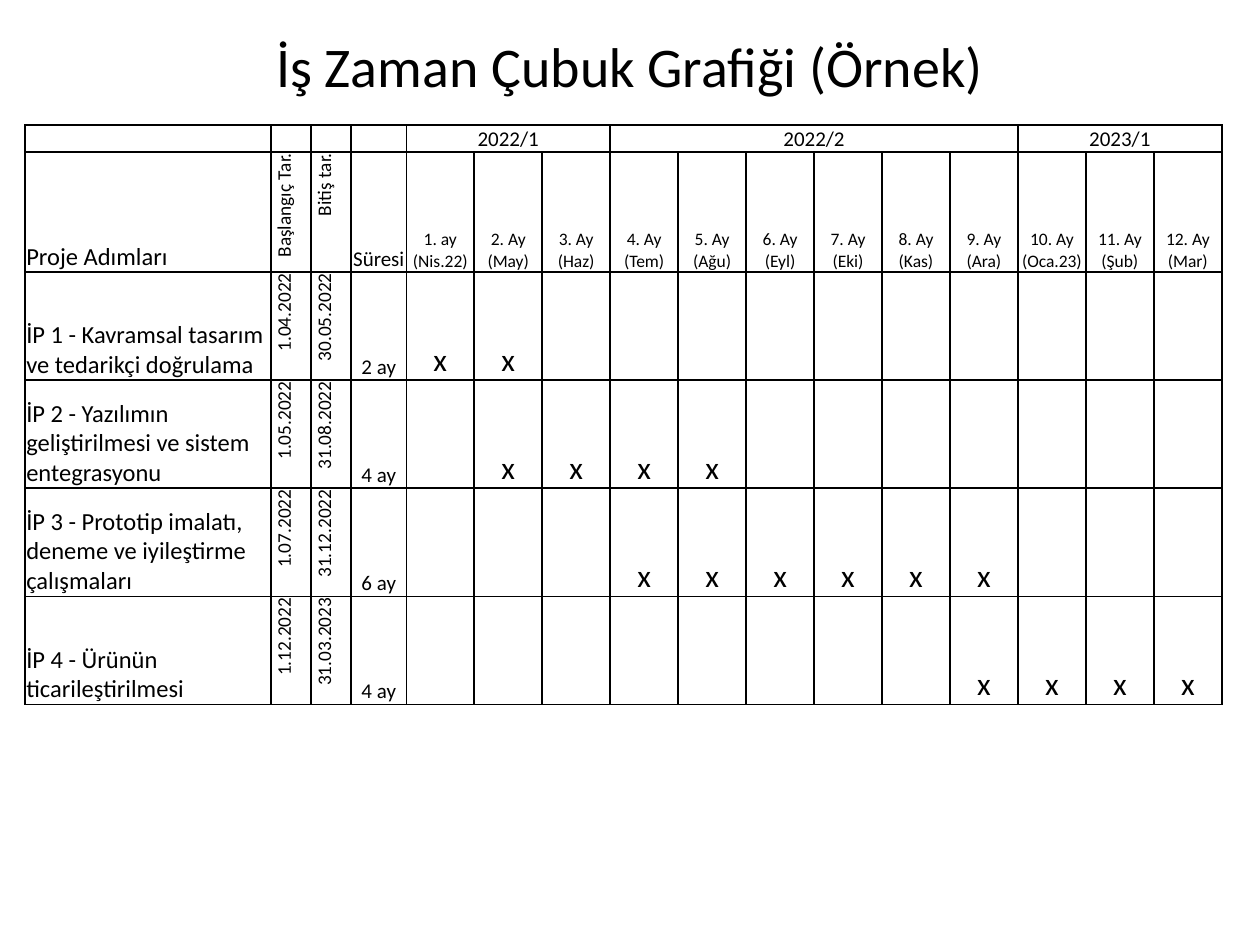
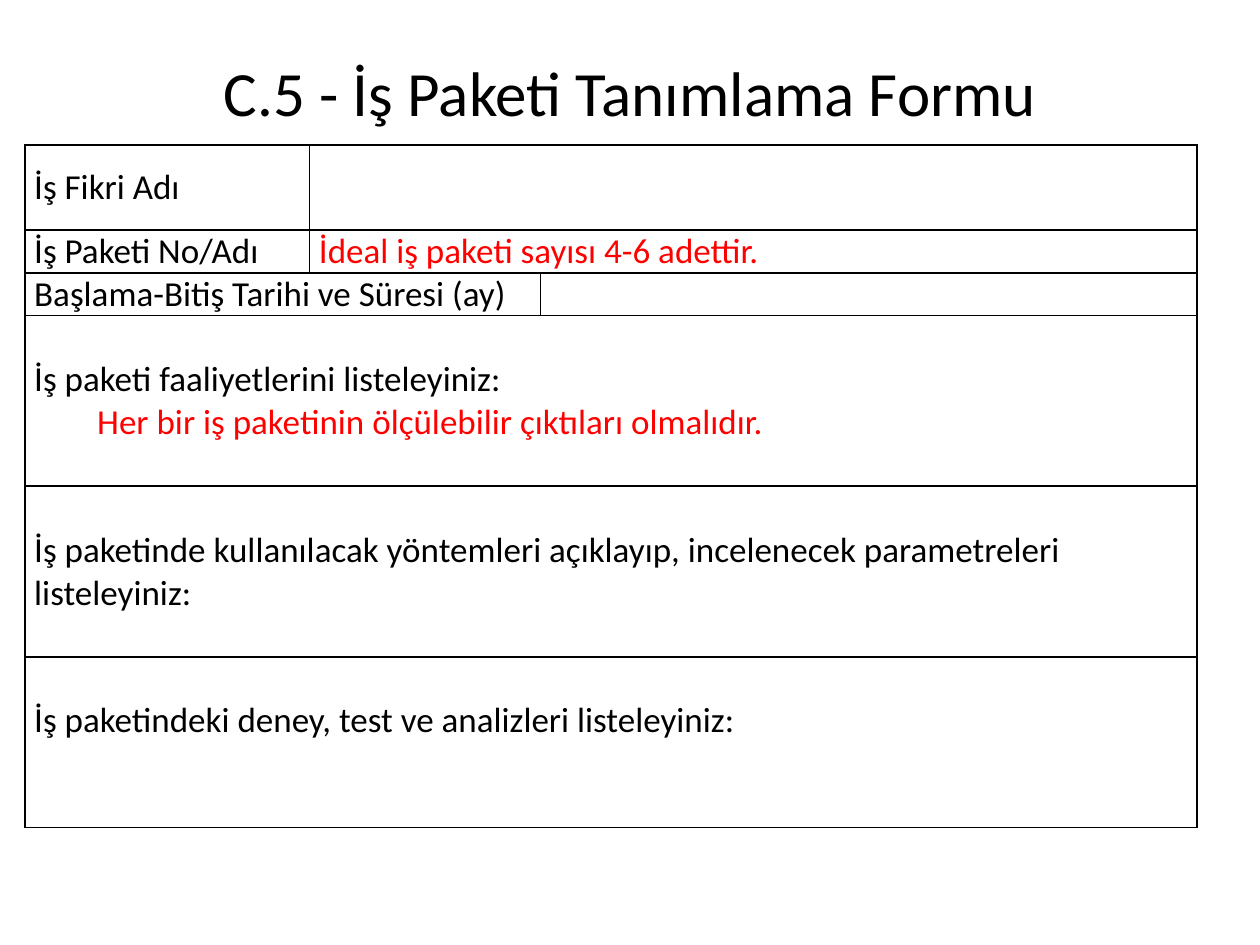
from dataclasses import dataclass
from itertools import accumulate
from typing import NamedTuple

from lxml import etree
from pptx import Presentation
from pptx.dml.color import RGBColor
from pptx.enum import text
from pptx.oxml import ns
from pptx.util import Cm, Pt

LEFT, CENTER, RIGHT = text.PP_ALIGN.LEFT, text.PP_ALIGN.CENTER, text.PP_ALIGN.RIGHT
TOP, MIDDLE, BOTTOM = text.MSO_ANCHOR.TOP, text.MSO_ANCHOR.MIDDLE, text.MSO_ANCHOR.BOTTOM


@dataclass(frozen=True)
class Theme:
    font: str = "Calibri"
    ink: RGBColor = RGBColor(0, 0, 0)
    hint: RGBColor = RGBColor(255, 0, 0)
    border: float = 1
    mark: float = 18
    step: float = 14
    label: float = 12
    date: float = 11
    month: float = 10
    form: float = 20


THEME = Theme()


class Line(NamedTuple):
    text: str = ""
    color: RGBColor = THEME.ink
    indent: float = 0


class Margins(NamedTuple):
    left: float
    top: float
    right: float
    bottom: float = 0


@dataclass(frozen=True)
class CellStyle:
    size: float
    margins: Margins
    align: text.PP_ALIGN = LEFT
    anchor: text.MSO_ANCHOR = BOTTOM
    vertical: bool = False


class Task(NamedTuple):
    name: str
    start: str
    end: str
    duration: str
    first_month: int
    last_month: int


class FormRow(NamedTuple):
    lines: int  # row height in text lines
    cells: list  # (first column, last column, anchor, lines of text)
    lines_above: int = 0


# Work plan
TIGHT = Margins(0.03, 0.03, 0.03)
STEP = CellStyle(THEME.step, TIGHT)
DATE = CellStyle(THEME.date, TIGHT, RIGHT, vertical=True)
LABEL = CellStyle(THEME.label, TIGHT, CENTER)
MONTH = CellStyle(THEME.month, TIGHT, CENTER)
MARK = CellStyle(THEME.mark, TIGHT, CENTER)
LEAD_STYLES = [STEP, DATE, DATE, LABEL]

LEAD_HEADS = ["Proje Adımları", "Başlangıç Tar.", "Bitiş tar.", "Süresi"]
MONTHS = ["1. ay (Nis.22)", "2. Ay (May)", "3. Ay (Haz)", "4. Ay (Tem)",
          "5. Ay (Ağu)", "6. Ay (Eyl)", "7. Ay (Eki)", "8. Ay (Kas)",
          "9. Ay (Ara)", "10. Ay (Oca.23)", "11. Ay (Şub)", "12. Ay (Mar)"]
PERIODS = [("2022/1", 3), ("2022/2", 6), ("2023/1", 3)]
TASKS = [
    Task("İP 1 - Kavramsal tasarım ve tedarikçi doğrulama",
         "1.04.2022", "30.05.2022", "2 ay", 1, 2),
    Task("İP 2 - Yazılımın geliştirilmesi ve sistem entegrasyonu",
         "1.05.2022", "31.08.2022", "4 ay", 2, 5),
    Task("İP 3 - Prototip imalatı, deneme ve iyileştirme çalışmaları",
         "1.07.2022", "31.12.2022", "6 ay", 4, 9),
    Task("İP 4 - Ürünün ticarileştirilmesi",
         "1.12.2022", "31.03.2023", "4 ay", 9, 12),
]

# Work package form
LINE_HEIGHT = 0.86
FORM_ROWS = [
    FormRow(2, [(0, 0, MIDDLE, [Line("İş Fikri Adı")]), (1, 2, TOP, [Line()])]),
    FormRow(1, [(0, 0, MIDDLE, [Line("İş Paketi No/Adı")]),
                (1, 2, TOP, [Line("İdeal iş paketi sayısı 4-6 adettir.", THEME.hint)])]),
    FormRow(1, [(0, 1, MIDDLE, [Line("Başlama-Bitiş Tarihi ve Süresi (ay)")]),
                (2, 2, TOP, [Line()])]),
    FormRow(4, [(0, 2, TOP, [
        Line("İş paketi faaliyetlerini listeleyiniz:"),
        Line("Her bir iş paketinin ölçülebilir çıktıları olmalıdır.",
             THEME.hint, 1.27)])], 1),
    FormRow(4, [(0, 2, TOP, [Line("İş paketinde kullanılacak yöntemleri açıklayıp, "
                                  "incelenecek parametreleri listeleyiniz:")])], 1),
    FormRow(4, [(0, 2, TOP, [
        Line("İş paketindeki deney, test ve analizleri listeleyiniz:")])], 1),
]


def format_paragraph(p, line: Line, size: float, align) -> None:
    p.text = line.text
    p.alignment = align
    p.font.name, p.font.size = THEME.font, Pt(size)
    p.font.color.rgb = line.color
    if line.indent:
        p._p.get_or_add_pPr().set("marL", str(Cm(line.indent)))
    if not line.text:  # keeps empty cells from stretching their row
        end = etree.SubElement(p._p, ns.qn("a:endParaRPr"))
        end.set("sz", str(int(size * 100)))


def add_title(s, title: str, top: float, height: float, size: float) -> None:
    tf = s.shapes.add_textbox(Cm(1.27), Cm(top), Cm(22.86), Cm(height)).text_frame
    tf.word_wrap = True
    tf.vertical_anchor = MIDDLE
    format_paragraph(tf.paragraphs[0], Line(title), size, CENTER)


def add_borders(cell) -> None:
    tc_pr = cell._tc.get_or_add_tcPr()
    for side in ("lnL", "lnR", "lnT", "lnB"):
        ln = etree.SubElement(tc_pr, ns.qn(f"a:{side}"), w=str(Pt(THEME.border)))
        fill = etree.SubElement(ln, ns.qn("a:solidFill"))
        etree.SubElement(fill, ns.qn("a:srgbClr"), val=str(THEME.ink))


def add_grid(s, top: float, widths: list[float], heights: list[float]):
    frame = s.shapes.add_table(len(heights), len(widths), Cm(0.5), Cm(top),
                               Cm(sum(widths)), Cm(sum(heights)))
    table = frame.table
    table.first_row = table.horz_banding = False
    for column, width in zip(table.columns, widths):
        column.width = Cm(width)
    for row, height in zip(table.rows, heights):
        row.height = Cm(height)
    for cell in table.iter_cells():
        add_borders(cell)
        cell.fill.background()
    return table


def fill_cell(cell, lines: list[Line], style: CellStyle) -> None:
    cell.margin_left, cell.margin_top, cell.margin_right, cell.margin_bottom = map(
        Cm, style.margins)
    cell.vertical_anchor = style.anchor
    if style.vertical:
        cell._tc.get_or_add_tcPr().set("vert", "vert270")
    tf = cell.text_frame
    for i, line in enumerate(lines):
        p = tf.add_paragraph() if i else tf.paragraphs[0]
        format_paragraph(p, line, style.size, style.align)


def fill_row(table, row: int, values: list[str], styles: list[CellStyle]) -> None:
    for col, (value, style) in enumerate(zip(values, styles)):
        fill_cell(table.cell(row, col), [Line(value)], style)


def build_work_plan(prs) -> None:
    s = prs.slides.add_slide(prs.slide_layouts[6])
    add_title(s, "İş Zaman Çubuk Grafiği (Örnek)", 0.33, 1.96, 32)
    table = add_grid(s, 2.52, [4.96, 0.81, 0.81, 1.11] + [1.37] * len(MONTHS),
                     [0.54, 2.42] + [2.18] * len(TASKS))

    # Periods over the months
    lead = len(LEAD_HEADS)
    spans = [span for _, span in PERIODS]
    starts = list(accumulate(spans, initial=lead))
    heads = [""] * (lead + len(MONTHS))
    for (period, span), start in zip(PERIODS, starts):
        heads[start] = period
        table.cell(0, start).merge(table.cell(0, start + span - 1))
    fill_row(table, 0, heads, [LABEL] * len(heads))

    # Column heads and tasks
    fill_row(table, 1, LEAD_HEADS + MONTHS, LEAD_STYLES + [MONTH] * len(MONTHS))
    for row, task in enumerate(TASKS, start=2):
        marks = ["x" if task.first_month <= m <= task.last_month else ""
                 for m in range(1, len(MONTHS) + 1)]
        fill_row(table, row, [*task[:lead], *marks], LEAD_STYLES + [MARK] * len(marks))


def build_package_form(prs) -> None:
    s = prs.slides.add_slide(prs.slide_layouts[6])
    add_title(s, "C.5 - İş Paketi Tanımlama Formu", 0.76, 2.16, 36)
    table = add_grid(s, 2.92, [5.74, 4.66, 13.23],
                     [row.lines * LINE_HEIGHT for row in FORM_ROWS])
    for i, row in enumerate(FORM_ROWS):
        margins = Margins(0.19, row.lines_above * LINE_HEIGHT, 0.19)
        for first, last, anchor, lines in row.cells:
            cell = table.cell(i, first)
            if last > first:
                cell.merge(table.cell(i, last))
            fill_cell(cell, lines, CellStyle(THEME.form, margins, anchor=anchor))


def main() -> None:
    prs = Presentation()
    prs.slide_width, prs.slide_height = Cm(25.4), Cm(19.05)
    build_work_plan(prs)
    build_package_form(prs)
    prs.save("out.pptx")


if __name__ == "__main__":
    main()
